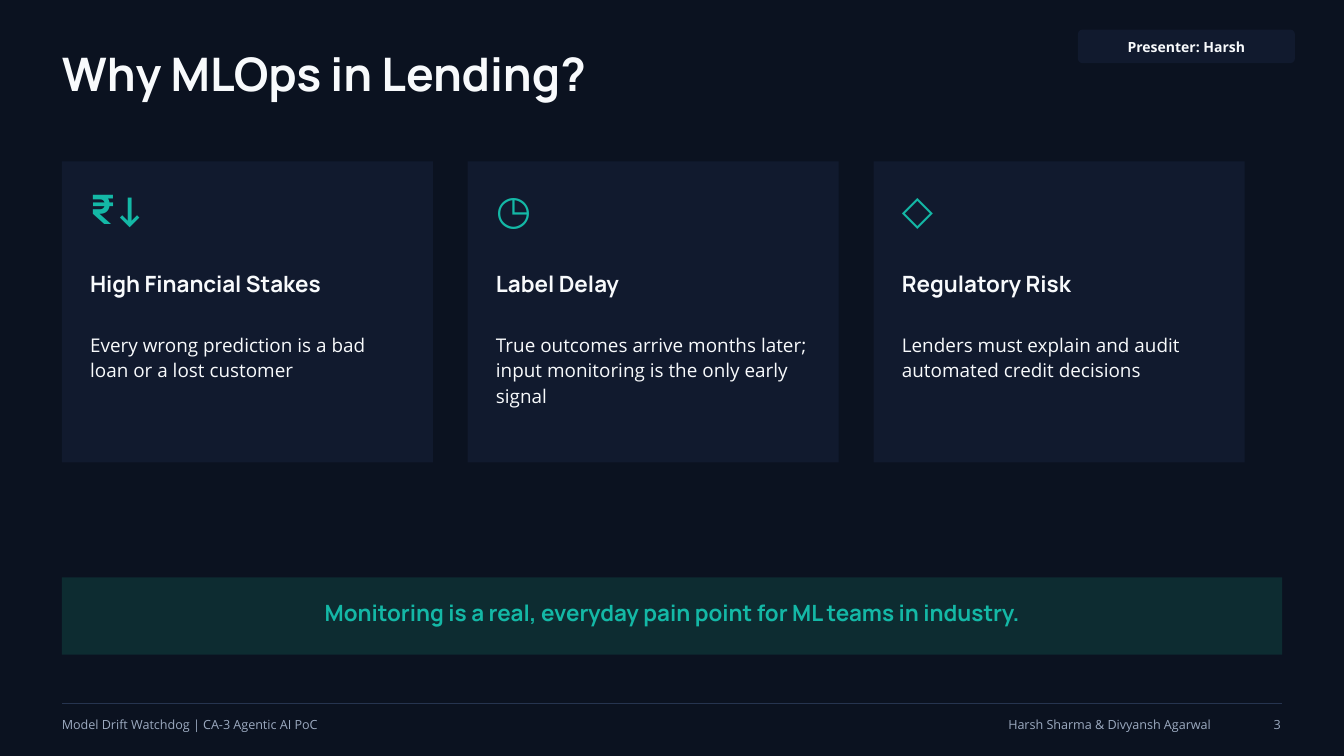
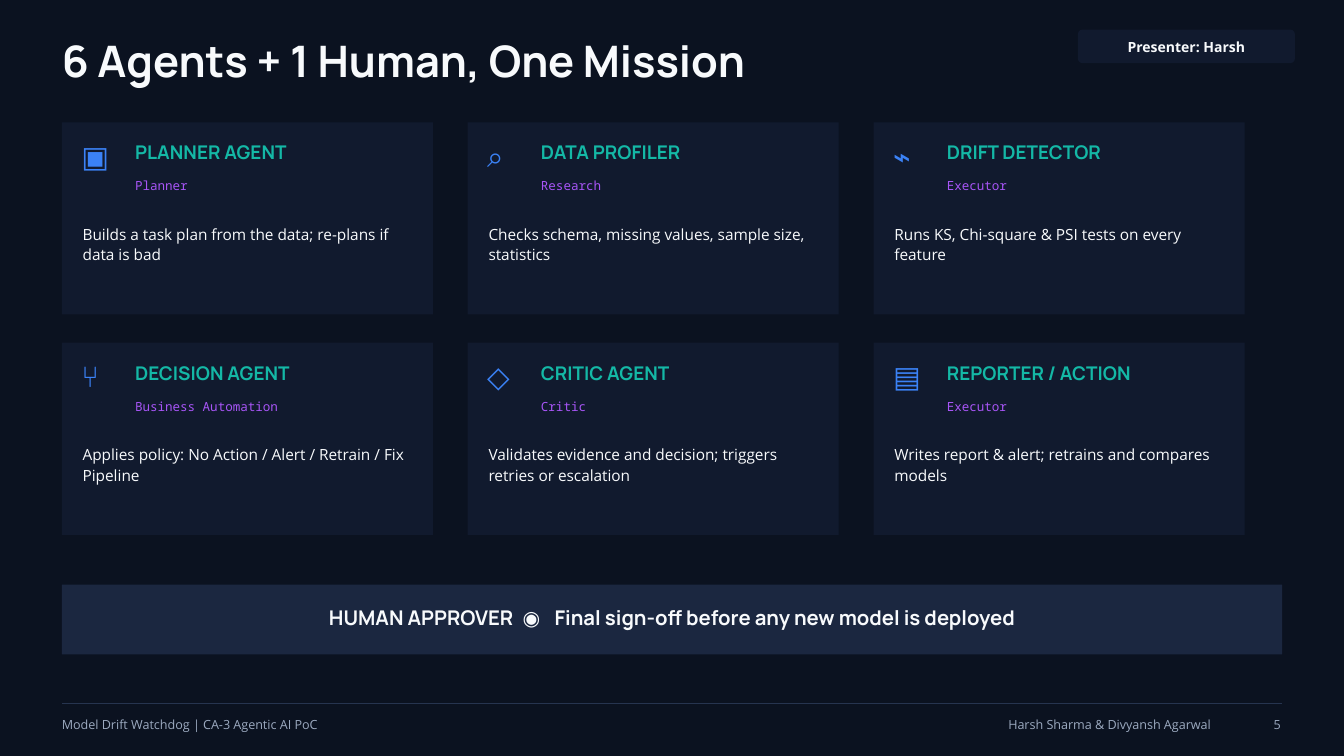
from dataclasses import dataclass

from lxml.etree import SubElement
from pptx import Presentation
from pptx.dml.color import RGBColor
from pptx.enum.shapes import MSO_CONNECTOR, MSO_SHAPE
from pptx.enum.text import MSO_ANCHOR, MSO_AUTO_SIZE, PP_ALIGN
from pptx.oxml.ns import qn
from pptx.util import Inches, Pt


@dataclass(frozen=True)
class Style:
    font: str
    size: float
    color: str
    bold: bool = False
    leading: float = 1.05


class Theme:
    background = "0B1220"
    card = "111A2E"
    teal_band = "0D2C31"
    blue_band = "1B2740"
    rule = "26344F"
    white = "F8FAFC"
    teal = "14B8A6"
    blue = "3B82F6"
    purple = "A855F7"
    muted = "9CAAC0"
    heading = "Manrope"
    body = "Open Sans"
    mono = "Noto Sans Mono"

    reason_title = Style(heading, 49.5, white, True)
    agent_title = Style(heading, 46.5, white, True)
    reason_icon = Style(heading, 43.5, teal, True)
    reason_name = Style(heading, 24, white, True)
    reason_text = Style(body, 20.25, white, leading=1.35)
    agent_icon = Style(heading, 31.5, blue, True)
    agent_name = Style(heading, 20.25, teal, True)
    agent_role = Style(mono, 13.5, purple, leading=1.25)
    agent_text = Style(body, 16.5, white, leading=1.35)
    reason_banner = Style(heading, 24, teal, True)
    agent_banner = Style(heading, 21.75, white, True)
    badge = Style(body, 15, white, True, 1.4)
    footer = Style(body, 13.5, muted, leading=1.35)


REASONS = [
    ("₹↓", "High Financial Stakes", "Every wrong prediction is a bad loan or a lost customer"),
    ("◷", "Label Delay", "True outcomes arrive months later; input monitoring is the only early signal"),
    ("◇", "Regulatory Risk", "Lenders must explain and audit automated credit decisions"),
]
AGENTS = [
    ("▣", "PLANNER AGENT", "Planner", "Builds a task plan from the data; re-plans if data is bad"),
    ("⌕", "DATA PROFILER", "Research", "Checks schema, missing values, sample size, statistics"),
    ("⌁", "DRIFT DETECTOR", "Executor", "Runs KS, Chi-square & PSI tests on every feature"),
    ("⑂", "DECISION AGENT", "Business Automation", "Applies policy: No Action / Alert / Retrain / Fix Pipeline"),
    ("◇", "CRITIC AGENT", "Critic", "Validates evidence and decision; triggers retries or escalation"),
    ("▤", "REPORTER / ACTION", "Executor", "Writes report & alert; retrains and compares models"),
]
REASON_BANNER = ["Monitoring is a real, everyday pain point for ML teams in industry."]
AGENT_BANNER = ["HUMAN APPROVER", " ◉ ", "Final sign-off before any new model is deployed"]
PRESENTER = "Presenter: Harsh"
PROJECT = "Model Drift Watchdog | CA-3 Agentic AI PoC"
AUTHORS = "Harsh Sharma & Divyansh Agarwal"

LEFT, RIGHT = 0.92, 19.08
COLUMNS = 3
CARD_WIDTH, COLUMN_STEP = 5.52, 6.04
BANNER_BOTTOM = 9.74
BADGE_AREA = (16.04, 0.44, 3.23, 0.5)

# Each part: offset from the card corner, width, height, style.
REASON_PARTS = [
    (0.42, 0.43, 1.04, 0.7, Theme.reason_icon),
    (0.42, 1.67, 4.69, 0.39, Theme.reason_name),
    (0.42, 2.52, 4.69, 0.74, Theme.reason_text),
]
AGENT_PARTS = [
    (0.29, 0.3, 0.73, 0.51, Theme.agent_icon),
    (1.09, 0.32, 3.96, 0.33, Theme.agent_name),
    (1.09, 0.82, 3.65, 0.22, Theme.agent_role),
    (0.31, 1.49, 4.9, 0.59, Theme.agent_text),
]


def color(value):
    return RGBColor.from_string(value)


def add_text(shapes, area, pieces, style, align=PP_ALIGN.LEFT, inset=0):
    box = shapes.add_textbox(*map(Inches, area))
    frame = box.text_frame
    frame.word_wrap = True
    frame.margin_left = frame.margin_right = Inches(inset)
    frame.margin_top = frame.margin_bottom = Inches(inset)
    frame.auto_size = MSO_AUTO_SIZE.NONE if inset else MSO_AUTO_SIZE.SHAPE_TO_FIT_TEXT
    frame.vertical_anchor = MSO_ANCHOR.MIDDLE if inset else MSO_ANCHOR.TOP
    para = frame.paragraphs[0]
    para.alignment = align
    para.line_spacing = Pt(style.size * style.leading)
    for piece in pieces:
        span = para.add_run()
        span.text = piece
        span.font.name = style.font
        span.font.size = Pt(style.size)
        span.font.bold = style.bold
        span.font.color.rgb = color(style.color)
    return para


def add_panel(shapes, area, fill, kind=MSO_SHAPE.RECTANGLE):
    panel = shapes.add_shape(kind, *map(Inches, area))
    panel.shadow.inherit = False
    panel.fill.solid()
    panel.fill.fore_color.rgb = color(fill)
    panel.line.fill.background()
    return panel


def add_cards(page, cards, parts, top, height, row_step=0):
    for index, texts in enumerate(cards):
        row, column = divmod(index, COLUMNS)
        x, y = LEFT + column * COLUMN_STEP, top + row * row_step
        group = page.shapes.add_group_shape().shapes
        add_panel(group, (x, y, CARD_WIDTH, height), Theme.card)
        for text, (dx, dy, width, part_height, style) in zip(texts, parts):
            add_text(group, (x + dx, y + dy, width, part_height), [text], style)


def add_banner(page, pieces, style, fill, height, text_height):
    top = BANNER_BOTTOM - height
    width = RIGHT - LEFT
    group = page.shapes.add_group_shape().shapes
    add_panel(group, (LEFT, top, width, height), fill)
    text_top = top + (height - text_height) / 2
    area = (LEFT + 1, text_top, width - 2, text_height)
    return add_text(group, area, pieces, style, PP_ALIGN.CENTER)


def add_badge(page):
    group = page.shapes.add_group_shape().shapes
    badge = add_panel(group, BADGE_AREA, Theme.card, MSO_SHAPE.ROUNDED_RECTANGLE)
    badge.adjustments[0] = 0.14
    left, top, width, height = BADGE_AREA
    area = (left, top - 0.03, width, height + 0.02)
    add_text(group, area, [PRESENTER], Theme.badge, PP_ALIGN.CENTER, inset=0.06)


def add_footer(page, number):
    ends = map(Inches, (LEFT, 10.46, RIGHT, 10.46))
    rule = page.shapes.add_connector(MSO_CONNECTOR.STRAIGHT, *ends)
    rule.line.color.rgb = color(Theme.rule)
    rule.line.width = Pt(0.75)
    SubElement(rule._element.spPr, qn("a:effectLst"))
    for left, width, text, align in [
        (LEFT, 6.77, PROJECT, PP_ALIGN.LEFT),
        (13.02, 5, AUTHORS, PP_ALIGN.RIGHT),
        (18.44, 0.62, str(number), PP_ALIGN.RIGHT),
    ]:
        add_text(page.shapes, (left, 10.64, width, 0.25), [text], Theme.footer, align)


def add_page(deck, title, title_area, title_style, number):
    page = deck.slides.add_slide(deck.slide_layouts[6])
    page.background.fill.solid()
    page.background.fill.fore_color.rgb = color(Theme.background)
    add_text(page.shapes, title_area, [title], title_style)
    add_badge(page)
    add_footer(page, number)
    return page


def build_reasons(deck):
    page = add_page(deck, "Why MLOps in Lending?", (LEFT, 0.78, 12.5, 0.79), Theme.reason_title, 3)
    add_cards(page, REASONS, REASON_PARTS, top=2.4, height=4.48)
    add_banner(page, REASON_BANNER, Theme.reason_banner, Theme.teal_band, 1.15, 0.39)


def build_agents(deck):
    page = add_page(deck, "6 Agents + 1 Human, One Mission", (LEFT, 0.6, 14.58, 0.74), Theme.agent_title, 5)
    add_cards(page, AGENTS, AGENT_PARTS, top=1.82, height=2.86, row_step=3.28)
    para = add_banner(page, AGENT_BANNER, Theme.agent_banner, Theme.blue_band, 1.04, 0.35)
    symbol = para.runs[1]
    symbol.font._element.set("spc", "550")


def main():
    deck = Presentation()
    deck.slide_width, deck.slide_height = Inches(20), Inches(11.25)
    build_reasons(deck)
    build_agents(deck)
    deck.save("out.pptx")


if __name__ == "__main__":
    main()
